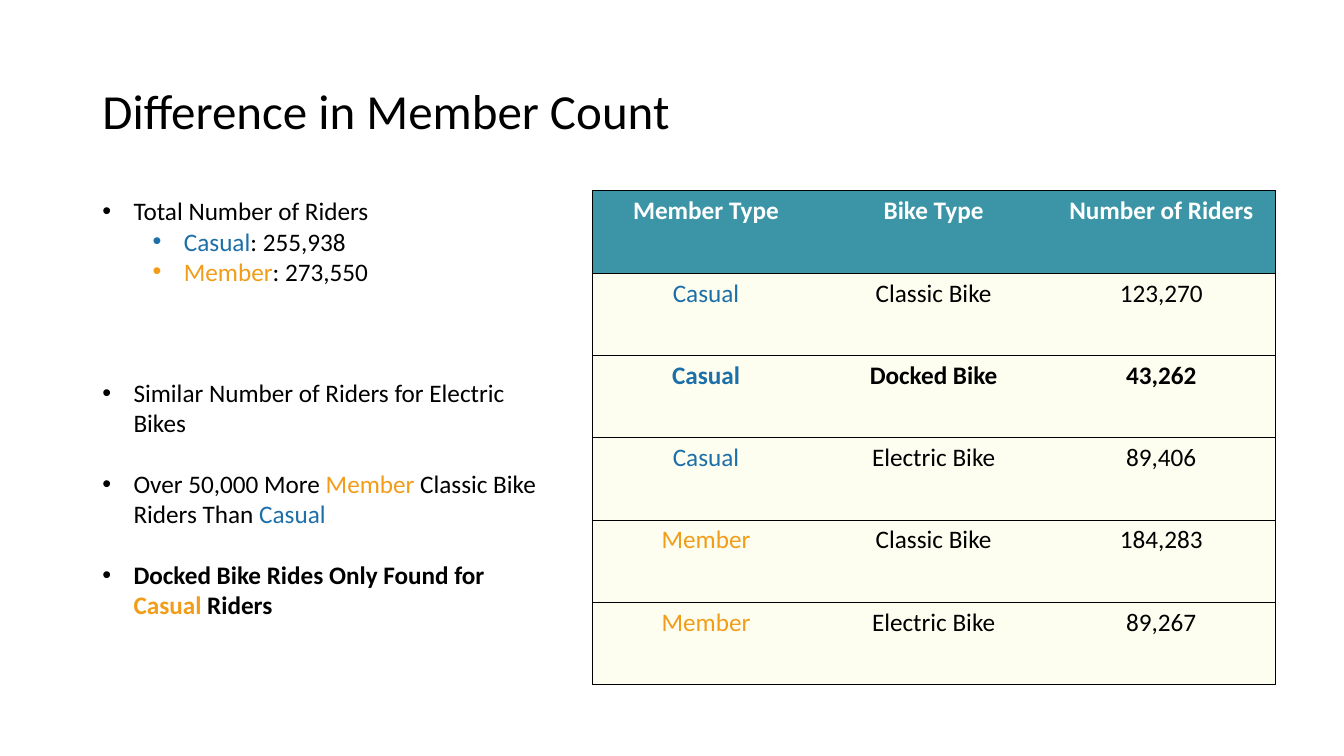
import pptx
import pptx.util
import pptx.dml.color
import pptx.enum.text
import pptx.oxml
import pptx.oxml.ns

RGBColor = pptx.dml.color.RGBColor
BLACK = RGBColor(0x00, 0x00, 0x00)
WHITE = RGBColor(0xFF, 0xFF, 0xFF)
TEAL = RGBColor(0x3B, 0x95, 0xA6)
YELLOW = RGBColor(0xF2, 0xFE, 0x5A)
CASUAL_BLUE = RGBColor(0x1D, 0x6F, 0xA9)
MEMBER_ORANGE = RGBColor(0xF1, 0x9D, 0x19)

FONT = "Calibri"
SLIDE_WIDTH = pptx.util.Inches(13.333)
SLIDE_HEIGHT = pptx.util.Inches(7.5)
GRID_COLUMNS, GRID_ROWS = 160, 90
LEFT, CONTENT_TOP = 11, 22.7
LINE_GAP = 21.7
YELLOW_OPACITY = 9

RIDER_COLORS = {"Casual": CASUAL_BLUE, "Member": MEMBER_ORANGE}
HEADINGS = ("Member Type", "Bike Type", "Number of Riders")
RIDERS = (
    ("Casual", "Classic Bike", "123,270"),
    ("Casual", "Docked Bike", "43,262"),
    ("Casual", "Electric Bike", "89,406"),
    ("Member", "Classic Bike", "184,283"),
    ("Member", "Electric Bike", "89,267"),
)
# Each finding: level, space before in points, bold, runs of (text, color).
FINDINGS = (
    (0, 0, False, [("Total Number of Riders", BLACK)]),
    (1, 0, False, [("Casual", CASUAL_BLUE), (": 255,938", BLACK)]),
    (1, 0, False, [("Member", MEMBER_ORANGE), (": 273,550", BLACK)]),
    (0, 3 * LINE_GAP, False, [("Similar Number of Riders for Electric Bikes", BLACK)]),
    (0, LINE_GAP, False, [("Over 50,000 More ", BLACK), ("Member", MEMBER_ORANGE),
                          (" Classic Bike Riders Than ", BLACK), ("Casual", CASUAL_BLUE)]),
    (0, LINE_GAP, True, [("Docked Bike Rides Only Found for ", BLACK),
                         ("Casual", MEMBER_ORANGE), (" Riders", BLACK)]),
)


def grid_box(column, row, columns, rows):
    """Turn grid columns and rows into left, top, width and height."""
    unit_x, unit_y = SLIDE_WIDTH / GRID_COLUMNS, SLIDE_HEIGHT / GRID_ROWS
    return (round(column * unit_x), round(row * unit_y),
            round(columns * unit_x), round(rows * unit_y))


def add_text(paragraph, text, size=18, color=BLACK, bold=False, align=None):
    """Add one formatted run to a paragraph."""
    run = paragraph.add_run()
    run.text = text
    run.font.name = FONT
    run.font.size = pptx.util.Pt(size)
    run.font.color.rgb = color
    run.font.bold = bold
    if align is not None:
        paragraph.alignment = align


def set_bullet(paragraph, level):
    """Give a paragraph a hanging bullet for its level."""
    paragraph.level = level
    properties = paragraph._p.get_or_add_pPr()
    properties.set("marL", str(pptx.util.Inches(0.31 + 0.5 * level)))
    properties.set("indent", str(pptx.util.Inches(-0.31)))
    namespace = pptx.oxml.ns.nsdecls("a")
    properties.append(pptx.oxml.parse_xml(f'<a:buFont {namespace} typeface="Arial"/>'))
    properties.append(pptx.oxml.parse_xml(f'<a:buChar {namespace} char="\u2022"/>'))


def set_borders(cell, visible_sides):
    """Draw thin black lines on the named sides and none on the others."""
    properties = cell._tc.get_or_add_tcPr()
    for side in "LRTB":
        fill = "<a:noFill/>"
        if side in visible_sides:
            fill = f'<a:solidFill><a:srgbClr val="{BLACK}"/></a:solidFill>'
        properties.append(pptx.oxml.parse_xml(
            f'<a:ln{side} {pptx.oxml.ns.nsdecls("a")} w="{pptx.util.Pt(0.5)}">'
            f'{fill}</a:ln{side}>'))


def set_cell_fill(cell, color, opacity=100):
    """Fill a cell, with an opacity in percent."""
    cell.fill.solid()
    cell.fill.fore_color.rgb = color
    if opacity < 100:
        color_element = cell._tc.tcPr.find(".//" + pptx.oxml.ns.qn("a:solidFill")
                                           + "[last()]/" + pptx.oxml.ns.qn("a:srgbClr")
                                           + f"[@val='{color}']")
        color_element.append(pptx.oxml.parse_xml(
            f'<a:alpha {pptx.oxml.ns.nsdecls("a")} val="{opacity * 1000}"/>'))


def place_title(slide, box):
    """Place and format the title placeholder."""
    title = slide.shapes.title
    title.left, title.top, title.width, title.height = box
    frame = title.text_frame
    frame.auto_size = pptx.enum.text.MSO_AUTO_SIZE.NONE
    frame.vertical_anchor = pptx.enum.text.MSO_ANCHOR.MIDDLE
    frame.paragraphs[0].line_spacing = 0.9
    add_text(frame.paragraphs[0], "Difference in Member Count", size=35,
             align=pptx.enum.text.PP_ALIGN.LEFT)


def add_rider_table(slide, box):
    """Add the table of riders by member and bike type."""
    rows = (HEADINGS,) + RIDERS
    table = slide.shapes.add_table(len(rows), len(HEADINGS), *box).table
    last_column = len(HEADINGS) - 1
    for row_index, row in enumerate(rows):
        is_heading = row_index == 0
        for column_index, text in enumerate(row):
            cell = table.cell(row_index, column_index)
            sides = "TB" + "L" * (column_index == 0) + "R" * (column_index == last_column)
            set_borders(cell, sides)
            if is_heading:
                set_cell_fill(cell, TEAL)
            else:
                set_cell_fill(cell, YELLOW, YELLOW_OPACITY)
            add_text(cell.text_frame.paragraphs[0], text,
                     color=WHITE if is_heading else RIDER_COLORS.get(text, BLACK),
                     bold=is_heading or "Docked Bike" in row,
                     align=pptx.enum.text.PP_ALIGN.CENTER)


def add_findings(slide, box):
    """Add the bulleted findings beside the table."""
    frame = slide.shapes.add_textbox(*box).text_frame
    frame.word_wrap = True
    for index, (level, space_before, bold, runs) in enumerate(FINDINGS):
        paragraph = frame.add_paragraph() if index else frame.paragraphs[0]
        paragraph.space_before = pptx.util.Pt(space_before)
        set_bullet(paragraph, level)
        for text, color in runs:
            add_text(paragraph, text, color=color, bold=bold)


def build_member_count_slide(presentation):
    """Build the slide from title, table and findings."""
    slide = presentation.slides.add_slide(presentation.slide_layouts[5])
    place_title(slide, grid_box(LEFT, 4.8, 138, 17.4))
    add_rider_table(slide, grid_box(70.5, CONTENT_TOP, 81.3, 58.8))
    add_findings(slide, grid_box(LEFT, CONTENT_TOP, 54.8, GRID_ROWS - CONTENT_TOP))


presentation = pptx.Presentation()
presentation.slide_width = SLIDE_WIDTH
presentation.slide_height = SLIDE_HEIGHT
build_member_count_slide(presentation)
presentation.save("out.pptx")
